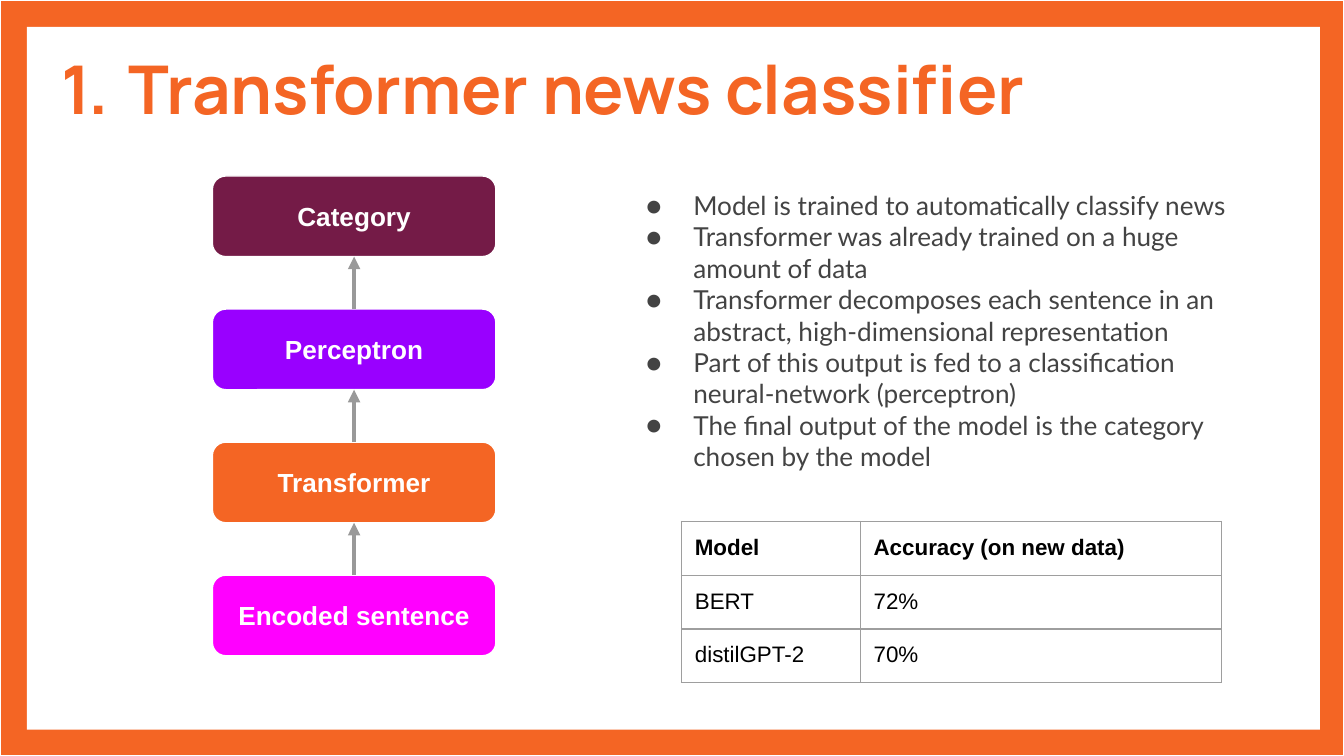
"""Build a slide describing a transformer news classifier."""
from lxml.etree import SubElement
from pptx import Presentation
from pptx.dml.color import RGBColor
from pptx.enum.shapes import MSO_CONNECTOR as CONN, MSO_SHAPE as SHAPE
from pptx.enum.text import MSO_ANCHOR as ANCHOR, PP_ALIGN as ALIGN
from pptx.oxml.ns import qn
from pptx.util import Inches, Pt

ORANGE = RGBColor(0xF4, 0x65, 0x24)
WHITE = RGBColor(0xFF, 0xFF, 0xFF)
BLACK = RGBColor(0x00, 0x00, 0x00)
DARK = RGBColor(0x43, 0x43, 0x43)
GRAY = RGBColor(0x99, 0x99, 0x99)
BORDER = RGBColor(0x9E, 0x9E, 0x9E)
MAGENTA = RGBColor(0xFF, 0x00, 0xFF)
VIOLET = RGBColor(0x99, 0x00, 0xFF)
PLUM = RGBColor(0x74, 0x1B, 0x47)

TITLE = "Transformer news classifier"
POINTS = [
    "Model is trained to automatically classify news",
    "Transformer was already trained on a huge amount of data",
    "Transformer decomposes each sentence in an abstract, high-dimensional representation",
    "Part of this output is fed to a classification neural-network (perceptron)",
    "The final output of the model is the category chosen by the model",
]
STAGES = [
    ("Category", PLUM),
    ("Perceptron", VIOLET),
    ("Transformer", ORANGE),
    ("Encoded sentence", MAGENTA),
]
RESULTS = [
    ("Model", "Accuracy (on new data)"),
    ("BERT", "72%"),
    ("distilGPT-2", "70%"),
]
SLIDE_W = 10
SLIDE_H = SLIDE_W * 9 / 16
COL_WIDTHS = (1.33, 2.69)
ROW_H = 0.32
STAGE_X, STAGE_Y, STAGE_W, STAGE_H, STAGE_STEP = 1.58, 1.31, 2.11, 0.6, 0.99
NUMBER = ("buAutoNum", {"type": "arabicPeriod"})
DOT = ("buChar", {"char": "●"})


def add_bullet(p, bullet, indent, font, color):
    pPr = p._p.get_or_add_pPr()
    pPr.set("marL", str(Inches(0.5)))
    pPr.set("indent", str(Inches(indent)))
    clr = SubElement(pPr, qn("a:buClr"))
    SubElement(clr, qn("a:srgbClr"), val=str(color))
    SubElement(pPr, qn("a:buFont"), typeface=font)
    tag, attrs = bullet
    SubElement(pPr, qn(f"a:{tag}"), attrs)


def write(tf, *lines, size=14, font="Arial", color=BLACK, bold=False,
          align=ALIGN.LEFT, anchor=ANCHOR.TOP, bullet=None, indent=0):
    tf.word_wrap = True
    tf.vertical_anchor = anchor
    tf.margin_left = tf.margin_right = Inches(0.1)
    tf.margin_top = tf.margin_bottom = Inches(0.1)
    for i, line in enumerate(lines):
        p = tf.add_paragraph() if i else tf.paragraphs[0]
        p.alignment = align
        if bullet:
            add_bullet(p, bullet, indent, font, color)
        r = p.add_run()
        r.text = line
        r.font.size, r.font.name, r.font.bold = Pt(size), font, bold
        r.font.color.rgb = color


def add_box(s, kind, x, y, w, h, fill, line=None):
    sp = s.shapes.add_shape(kind, Inches(x), Inches(y), Inches(w), Inches(h))
    sp.shadow.inherit = False
    sp.fill.solid()
    sp.fill.fore_color.rgb = fill
    if line is None:
        sp.line.fill.background()
    else:
        sp.line.color.rgb = line
        sp.line.width = Pt(0.75)
    return sp


def add_text(s, x, y, w, h, *lines, **style):
    box = s.shapes.add_textbox(Inches(x), Inches(y), Inches(w), Inches(h))
    write(box.text_frame, *lines, **style)


def add_arrow(s, start, end):
    cx = s.shapes.add_connector(CONN.STRAIGHT, 0, 0, 0, 0)
    cx.begin_connect(start, 0)
    cx.end_connect(end, 2)
    cx.line.color.rgb = GRAY
    cx.line.width = Pt(2.25)
    SubElement(cx.line._ln, qn("a:tailEnd"), type="triangle")
    SubElement(cx._element.spPr, qn("a:effectLst"))


def add_stages(s):
    boxes = []
    for i, (label, color) in enumerate(STAGES):
        sp = add_box(s, SHAPE.ROUNDED_RECTANGLE, STAGE_X, STAGE_Y + i * STAGE_STEP,
                     STAGE_W, STAGE_H, color, WHITE)
        write(sp.text_frame, label, color=WHITE, bold=True,
              align=ALIGN.CENTER, anchor=ANCHOR.MIDDLE)
        boxes.append(sp)
    for upper, lower in zip(boxes, boxes[1:]):
        add_arrow(s, lower, upper)


def format_cell(cell):
    tcPr = cell._tc.get_or_add_tcPr()
    for side in ("lnL", "lnR", "lnT", "lnB"):
        ln = SubElement(tcPr, qn(f"a:{side}"), w=str(Pt(0.75)))
        fill = SubElement(ln, qn("a:solidFill"))
        SubElement(fill, qn("a:srgbClr"), val=str(BORDER))
    cell.fill.background()
    cell.margin_left = cell.margin_right = Inches(0.1)
    cell.margin_top = cell.margin_bottom = Inches(0.1)


def add_results(s):
    rows = len(RESULTS)
    table = s.shapes.add_table(rows, len(COL_WIDTHS), Inches(5.07), Inches(3.88),
                               Inches(sum(COL_WIDTHS)), Inches(rows * ROW_H)).table
    table.first_row = table.horz_banding = False
    for column, width in zip(table.columns, COL_WIDTHS):
        column.width = Inches(width)
    for i, values in enumerate(RESULTS):
        for j, value in enumerate(values):
            cell = table.cell(i, j)
            write(cell.text_frame, value, size=12, bold=i == 0)
            format_cell(cell)


def main():
    prs = Presentation()
    prs.slide_width, prs.slide_height = Inches(SLIDE_W), Inches(SLIDE_H)
    s = prs.slides.add_slide(prs.slide_layouts[6])
    add_box(s, SHAPE.RECTANGLE, 0, 0, SLIDE_W, SLIDE_H, ORANGE, WHITE)
    add_box(s, SHAPE.RECTANGLE, 0.2, 0.2, 9.62, 5.23, WHITE)
    add_text(s, 0.36, 0.29, 7.65, 0.76, TITLE, size=36, font="Manrope", color=ORANGE,
             bold=True, anchor=ANCHOR.BOTTOM, bullet=NUMBER, indent=-0.5)
    add_text(s, 4.56, 1.31, 4.88, 2.13, *POINTS, font="Lato", color=DARK,
             bullet=DOT, indent=-0.35)
    add_results(s)
    add_stages(s)
    prs.save("out.pptx")


if __name__ == "__main__":
    main()
